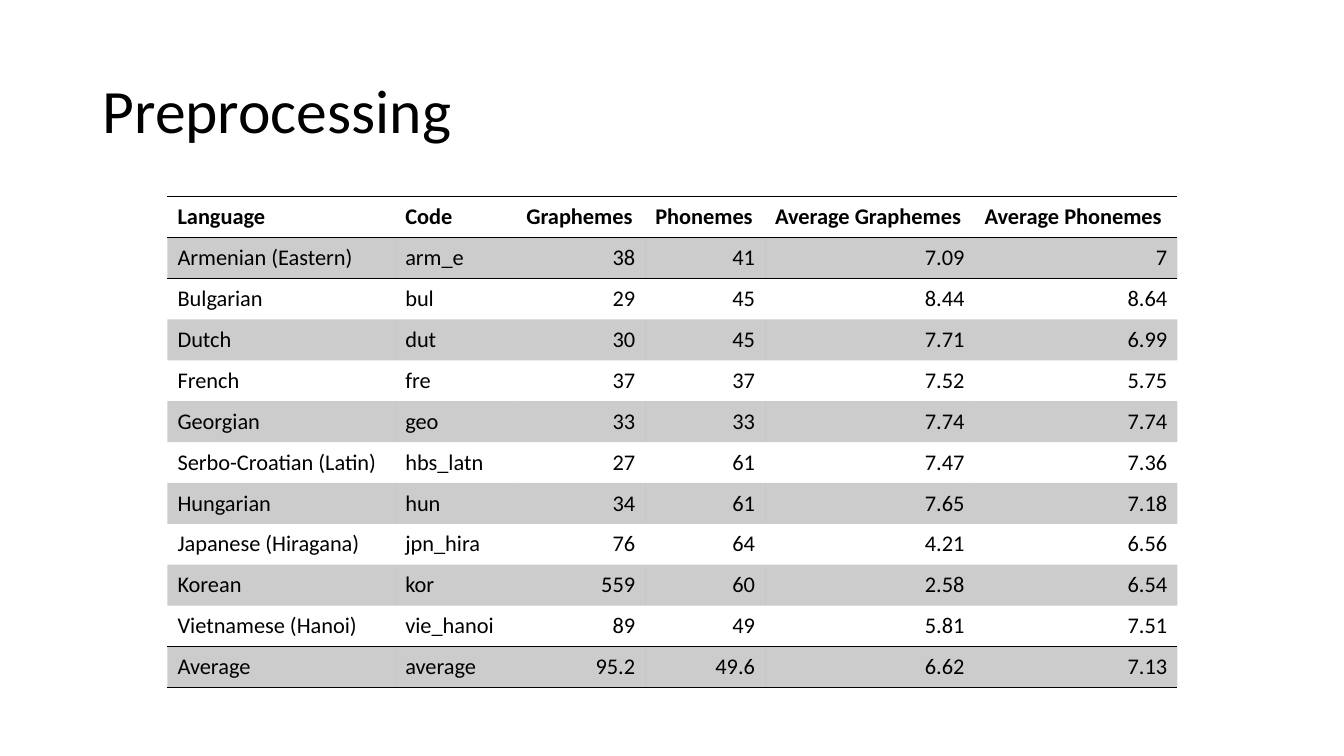
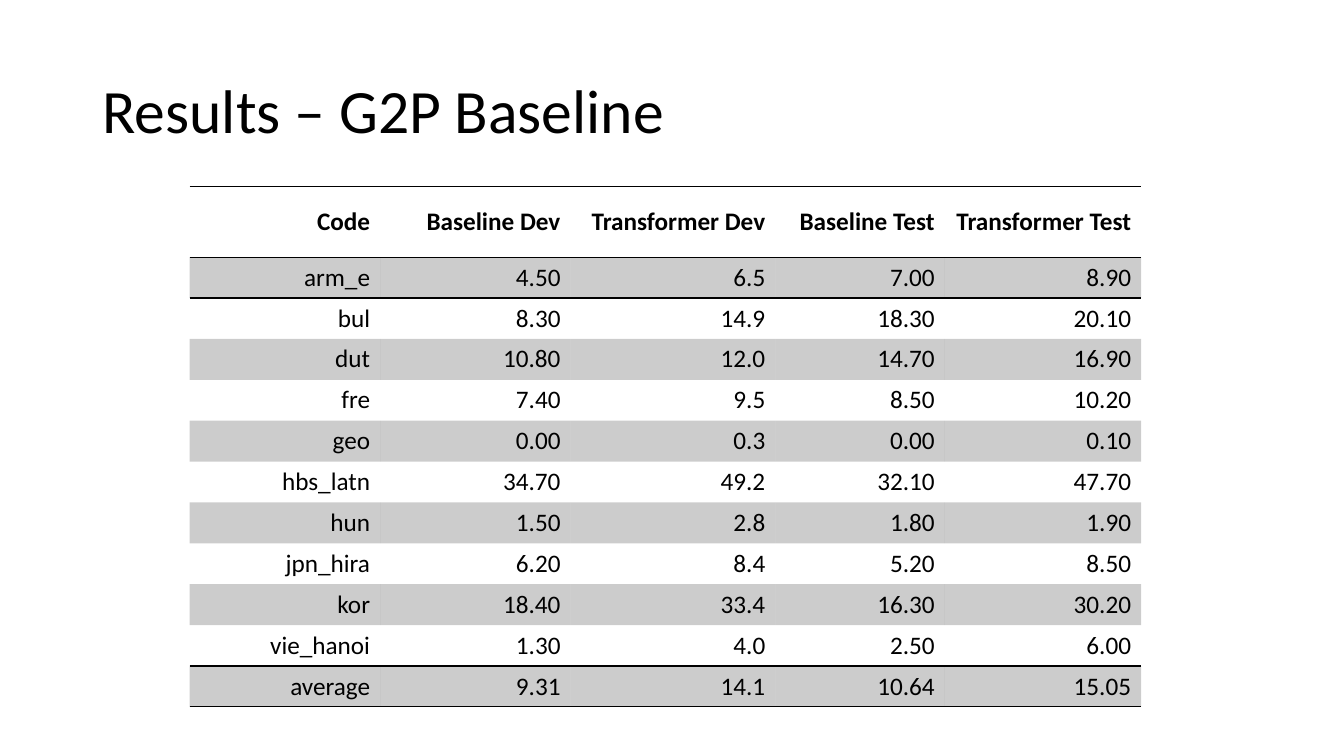
"""Build two slides of language tables that share one ruled, banded style."""
from dataclasses import dataclass

from lxml import etree
from pptx import Presentation
from pptx import util as u
from pptx.dml.color import RGBColor
from pptx.enum import text as t
from pptx.oxml import ns

BLACK = RGBColor(0, 0, 0)
FONT = "Calibri"
TITLE_SIZE = 44
BAND_OPACITY = 20
RULE_WIDTH = u.Pt(1)
ROW_HEIGHT = 1.03
TITLE_ONLY = 5
PLAIN_TABLE_STYLE = "{2D5ABB26-0587-4C30-8999-92F81FD0307C}"
LEFT, RIGHT = t.PP_ALIGN.LEFT, t.PP_ALIGN.RIGHT


@dataclass(frozen=True)
class TableSlide:
    title: str
    left: float
    top: float
    widths: tuple[float, ...]
    header_height: float
    size: int
    header_align: t.PP_ALIGN
    text_columns: int
    rows: tuple[tuple[str, ...], ...]


PREPROCESSING = TableSlide(
    title="Preprocessing",
    left=4.22, top=4.96,
    widths=(5.74, 3.05, 3.25, 3.02, 5.28, 5.11),
    header_height=ROW_HEIGHT, size=16, header_align=LEFT, text_columns=2,
    rows=(
        ("Language", "Code", "Graphemes", "Phonemes", "Average Graphemes", "Average Phonemes"),
        ("Armenian (Eastern)", "arm_e", "38", "41", "7.09", "7"),
        ("Bulgarian", "bul", "29", "45", "8.44", "8.64"),
        ("Dutch", "dut", "30", "45", "7.71", "6.99"),
        ("French", "fre", "37", "37", "7.52", "5.75"),
        ("Georgian", "geo", "33", "33", "7.74", "7.74"),
        ("Serbo-Croatian (Latin)", "hbs_latn", "27", "61", "7.47", "7.36"),
        ("Hungarian", "hun", "34", "61", "7.65", "7.18"),
        ("Japanese (Hiragana)", "jpn_hira", "76", "64", "4.21", "6.56"),
        ("Korean", "kor", "559", "60", "2.58", "6.54"),
        ("Vietnamese (Hanoi)", "vie_hanoi", "89", "49", "5.81", "7.51"),
        ("Average", "average", "95.2", "49.6", "6.62", "7.13"),
    ),
)

BASELINE_RESULTS = TableSlide(
    title="Results – G2P Baseline",
    left=4.78, top=4.69,
    widths=(4.8, 4.8, 5.16, 4.27, 4.95),
    header_height=1.79, size=18, header_align=RIGHT, text_columns=0,
    rows=(
        ("Code", "Baseline Dev", "Transformer Dev", "Baseline Test", "Transformer Test"),
        ("arm_e", "4.50", "6.5", "7.00", "8.90"),
        ("bul", "8.30", "14.9", "18.30", "20.10"),
        ("dut", "10.80", "12.0", "14.70", "16.90"),
        ("fre", "7.40", "9.5", "8.50", "10.20"),
        ("geo", "0.00", "0.3", "0.00", "0.10"),
        ("hbs_latn", "34.70", "49.2", "32.10", "47.70"),
        ("hun", "1.50", "2.8", "1.80", "1.90"),
        ("jpn_hira", "6.20", "8.4", "5.20", "8.50"),
        ("kor", "18.40", "33.4", "16.30", "30.20"),
        ("vie_hanoi", "1.30", "4.0", "2.50", "6.00"),
        ("average", "9.31", "14.1", "10.64", "15.05"),
    ),
)


def style_text(para, size: int, align: t.PP_ALIGN, bold: bool = False) -> None:
    para.alignment = align
    for span in para.runs:
        span.font.name = FONT
        span.font.size = u.Pt(size)
        span.font.bold = bold
        span.font.color.rgb = BLACK


def set_title(page, words: str) -> None:
    box = page.shapes.title
    box.left, box.top, box.width, box.height = map(u.Cm, (2.33, 1.01, 29.21, 3.68))
    frame = box.text_frame
    frame.text = words
    frame.vertical_anchor = t.MSO_ANCHOR.MIDDLE
    frame.paragraphs[0].line_spacing = 0.9
    style_text(frame.paragraphs[0], TITLE_SIZE, LEFT)


def fill_cell(cell, banded: bool) -> None:
    if not banded:
        cell.fill.background()
        return
    cell.fill.solid()
    cell.fill.fore_color.rgb = BLACK
    color = cell._tc.tcPr.find(".//" + ns.qn("a:srgbClr"))
    etree.SubElement(color, ns.qn("a:alpha"), val=str(BAND_OPACITY * 1000))


def rule_cell(cell, edges: list[str]) -> None:
    properties = cell._tc.get_or_add_tcPr()
    for position, edge in enumerate(edges):
        line = etree.Element(ns.qn(f"a:{edge}"), w=str(RULE_WIDTH))
        fill = etree.SubElement(line, ns.qn("a:solidFill"))
        etree.SubElement(fill, ns.qn("a:srgbClr"), val=str(BLACK))
        properties.insert(position, line)


def add_language_table(page, item: TableSlide) -> None:
    count = len(item.rows)
    heights = [item.header_height] + [ROW_HEIGHT] * (count - 1)
    frame = page.shapes.add_table(
        count, len(item.widths), u.Cm(item.left), u.Cm(item.top),
        u.Cm(sum(item.widths)), u.Cm(sum(heights)))
    frame.element.find(".//" + ns.qn("a:tableStyleId")).text = PLAIN_TABLE_STYLE
    table = frame.table
    table.horz_banding = False
    for column, width in zip(table.columns, item.widths):
        column.width = u.Cm(width)
    for row, height in zip(table.rows, heights):
        row.height = u.Cm(height)

    ruled = {0, 1, count - 1, count}
    for row_index, values in enumerate(item.rows):
        header = row_index == 0
        edges = [edge for edge, boundary in (("lnT", row_index), ("lnB", row_index + 1))
                 if boundary in ruled]
        for column_index, value in enumerate(values):
            cell = table.cell(row_index, column_index)
            cell.text_frame.text = value
            cell.vertical_anchor = t.MSO_ANCHOR.MIDDLE
            body_align = LEFT if column_index < item.text_columns else RIGHT
            style_text(cell.text_frame.paragraphs[0], item.size,
                       item.header_align if header else body_align, bold=header)
            fill_cell(cell, banded=row_index % 2 == 1)
            rule_cell(cell, edges)


def main() -> None:
    deck = Presentation()
    deck.slide_width, deck.slide_height = u.Cm(33.87), u.Cm(19.05)
    for item in (PREPROCESSING, BASELINE_RESULTS):
        page = deck.slides.add_slide(deck.slide_layouts[TITLE_ONLY])
        set_title(page, item.title)
        add_language_table(page, item)
    deck.save("out.pptx")


main()
